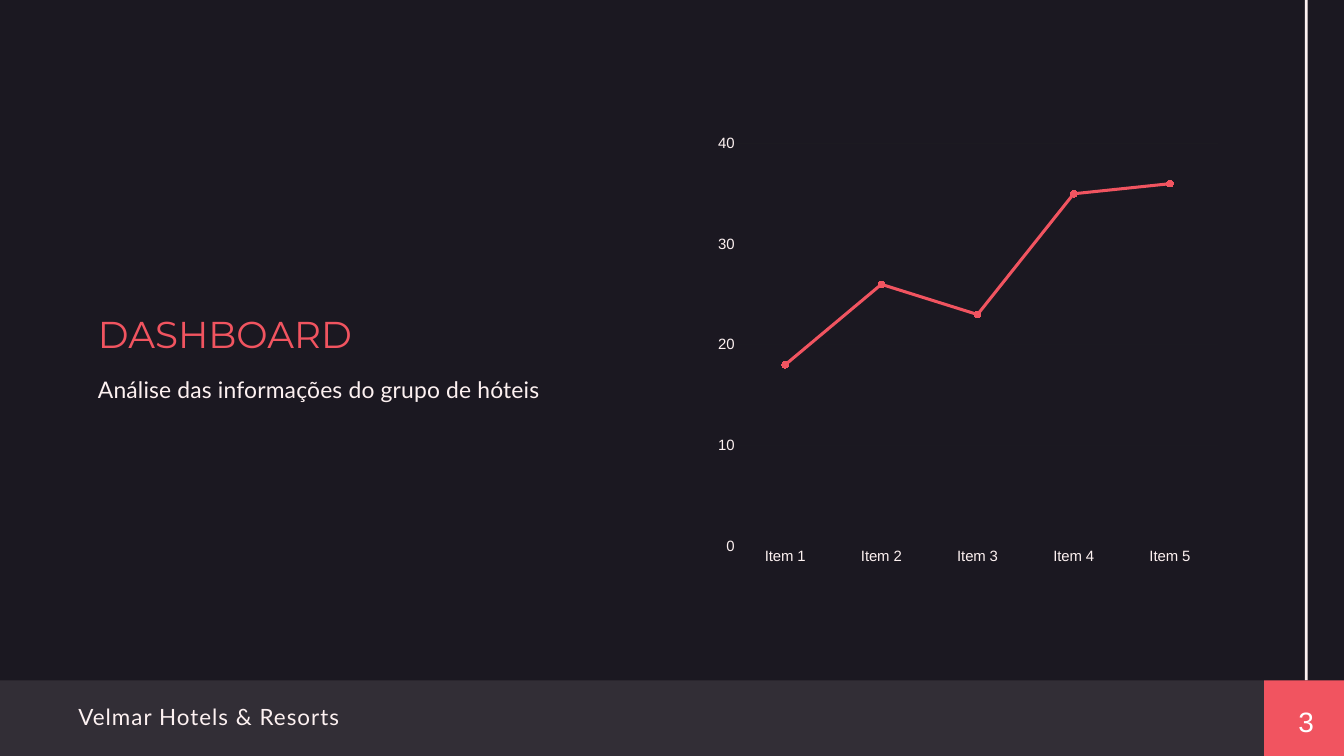
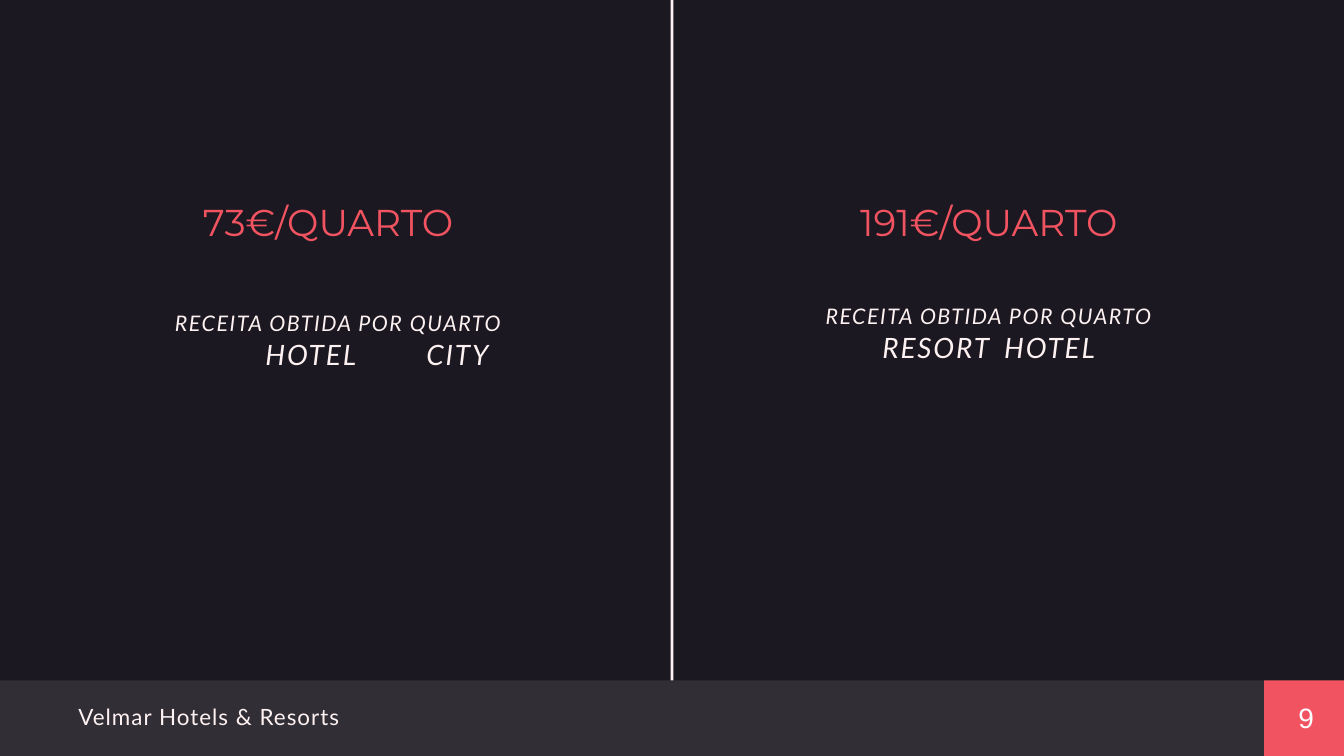
"""Build the two hotel dashboard slides: a trend chart and a revenue comparison."""
from lxml.etree import SubElement
from pptx import Presentation
from pptx.chart.data import CategoryChartData
from pptx.dml.color import RGBColor
from pptx.enum.chart import XL_CHART_TYPE, XL_MARKER_STYLE, XL_TICK_MARK
from pptx.enum.shapes import MSO_SHAPE
from pptx.enum.text import MSO_AUTO_SIZE, PP_ALIGN
from pptx.oxml import parse_xml
from pptx.oxml.ns import nsdecls, qn
from pptx.util import Pt

PX = 9525
COLORS = {
    "background": "1B1821",
    "light": "FDF1F1",
    "accent": "F15460",
    "grid": "212121",
    "white": "FFFFFF",
}
TITLE = {"size": 40, "font": "Montserrat", "color": "accent", "before": 1}
CAPTION = {"size": 23, "italic": True, "spacing": 1.6}
HOTEL = {"size": 30, "italic": True, "spacing": 2, "before": 1.4}


def add_frame(slide, left, top, width, height, inset=1):
    """Add an empty text box and return its text frame."""
    box = slide.shapes.add_textbox(left * PX, top * PX, width * PX, height * PX)
    frame = box.text_frame
    frame.word_wrap = True
    frame.auto_size = MSO_AUTO_SIZE.SHAPE_TO_FIT_TEXT
    frame.margin_left = frame.margin_right = frame.margin_bottom = 0
    frame.margin_top = inset * PX
    return frame


def write_text(frame, text, size=24, font="Lato", color="light", italic=False,
               spacing=0, before=1, align=PP_ALIGN.LEFT, indent=1, tab=None):
    """Write one formatted paragraph into a text frame."""
    paragraph = frame.paragraphs[0] if not frame.text else frame.add_paragraph()
    paragraph.alignment = align
    paragraph.space_before = Pt(before)
    properties = paragraph._p.get_or_add_pPr()
    properties.set("marL", str(indent * PX))
    if tab:
        tabs = SubElement(properties, qn("a:tabLst"))
        SubElement(tabs, qn("a:tab"), pos=str(tab * PX), algn="l")
    run = paragraph.add_run()
    run.text = text
    run.font.size = Pt(size)
    run.font.name = font
    run.font.italic = italic
    run.font.color.rgb = RGBColor.from_string(COLORS[color])
    run._r.get_or_add_rPr().set("spc", str(round(spacing * 100)))


presentation = Presentation()
presentation.slide_width = 1920 * PX
presentation.slide_height = 1080 * PX

slides = []
for number, number_top, rule_left in [("3", 999, 1864), ("9", 994, 958)]:
    slide = presentation.slides.add_slide(presentation.slide_layouts[6])
    slides.append(slide)
    slide.background.fill.solid()
    slide.background.fill.fore_color.rgb = RGBColor.from_string(COLORS["background"])
    bands = [
        ("light", 100, rule_left, 0, 4, 972),
        ("light", 10, 0, 972, 1806, 108),
        ("accent", 100, 1806, 972, 114, 108),
    ]
    for color, opacity, left, top, width, height in bands:
        band = slide.shapes.add_shape(
            MSO_SHAPE.RECTANGLE, left * PX, top * PX, width * PX, height * PX)
        band.shadow.inherit = False
        band.line.fill.background()
        band.fill.solid()
        band.fill.fore_color.rgb = RGBColor.from_string(COLORS[color])
        if opacity < 100:
            tint = band._element.spPr.find(".//" + qn("a:srgbClr"))
            SubElement(tint, qn("a:alpha"), val=str(opacity * 1000))
    write_text(add_frame(slide, 111, 1004, 393, 41), "Velmar Hotels & Resorts",
               spacing=1.1, before=0.7)
    write_text(add_frame(slide, 1851, number_top, 33, 60, inset=7), number,
               size=30, font="Arial", color="white", before=4.8, indent=4)

dashboard, revenue = slides

write_text(add_frame(dashboard, 139, 444, 444, 66), "DASHBOARD", **TITLE)
write_text(add_frame(dashboard, 139, 535, 645, 42, inset=2),
           "Análise das informações do grupo de hóteis",
           size=24.5, spacing=0.2, before=1.2)

chart_data = CategoryChartData()
chart_data.categories = [f"Item {item}" for item in range(1, 6)]
chart_data.add_series("Item", [18, 26, 23, 35, 36])
chart_left, chart_top, chart_width, chart_height = 1003, 175, 757, 650
plot_left, plot_top, plot_width, plot_height = 1053, 205, 687, 575
chart = dashboard.shapes.add_chart(
    XL_CHART_TYPE.LINE_MARKERS, chart_left * PX, chart_top * PX,
    chart_width * PX, chart_height * PX, chart_data).chart
chart.has_legend = False
chart.has_title = False
chart.font.size = Pt(16)
chart.font.name = "Arial"
chart.font.color.rgb = RGBColor.from_string(COLORS["light"])

plot = chart.plots[0]
plot.vary_by_categories = False
series = plot.series[0]
series.smooth = False
series.format.line.width = Pt(3.25)
series.format.line.color.rgb = RGBColor.from_string(COLORS["accent"])
series.marker.style = XL_MARKER_STYLE.CIRCLE
series.marker.size = 7
series.marker.format.fill.solid()
series.marker.format.fill.fore_color.rgb = RGBColor.from_string(COLORS["accent"])
series.marker.format.line.fill.background()

value_axis = chart.value_axis
value_axis.minimum_scale = 0
value_axis.maximum_scale = 40
value_axis.major_unit = 10
value_axis.has_major_gridlines = True
grid_line = value_axis.major_gridlines.format.line
grid_line.width = Pt(0.75)
grid_line.color.rgb = RGBColor.from_string(COLORS["grid"])
grid_color = value_axis._element.find(".//" + qn("a:srgbClr"))
SubElement(grid_color, qn("a:alpha"), val="25000")
chart.category_axis.tick_labels.offset = 0
for axis in (value_axis, chart.category_axis):
    axis.major_tick_mark = XL_TICK_MARK.NONE
    axis.format.line.fill.background()

plot_area = chart._chartSpace.chart.plotArea
for layout in plot_area.findall(qn("c:layout")):
    plot_area.remove(layout)
plot_area.insert(0, parse_xml(
    f'<c:layout {nsdecls("c")}><c:manualLayout><c:layoutTarget val="inner"/>'
    '<c:xMode val="edge"/><c:yMode val="edge"/>'
    f'<c:x val="{(plot_left - chart_left) / chart_width}"/>'
    f'<c:y val="{(plot_top - chart_top) / chart_height}"/>'
    f'<c:w val="{plot_width / chart_width}"/><c:h val="{plot_height / chart_height}"/>'
    '</c:manualLayout></c:layout>'))

write_text(add_frame(revenue, 289, 284, 476, 66), "73€/QUARTO", **TITLE)
city = add_frame(revenue, 249, 442, 490, 89)
write_text(city, "RECEITA OBTIDA POR QUARTO", **CAPTION)
write_text(city, "HOTEL\tCITY", indent=130, tab=280, **HOTEL)

resort = add_frame(revenue, 1153, 284, 519, 238)
centered = {"align": PP_ALIGN.CENTER, "indent": 0}
write_text(resort, "191€/QUARTO", **TITLE, **centered)
write_text(resort, "RECEITA OBTIDA POR QUARTO", before=63, **CAPTION, **centered)
write_text(resort, "RESORT\tHOTEL", tab=174, **HOTEL, **centered)

presentation.save("out.pptx")
